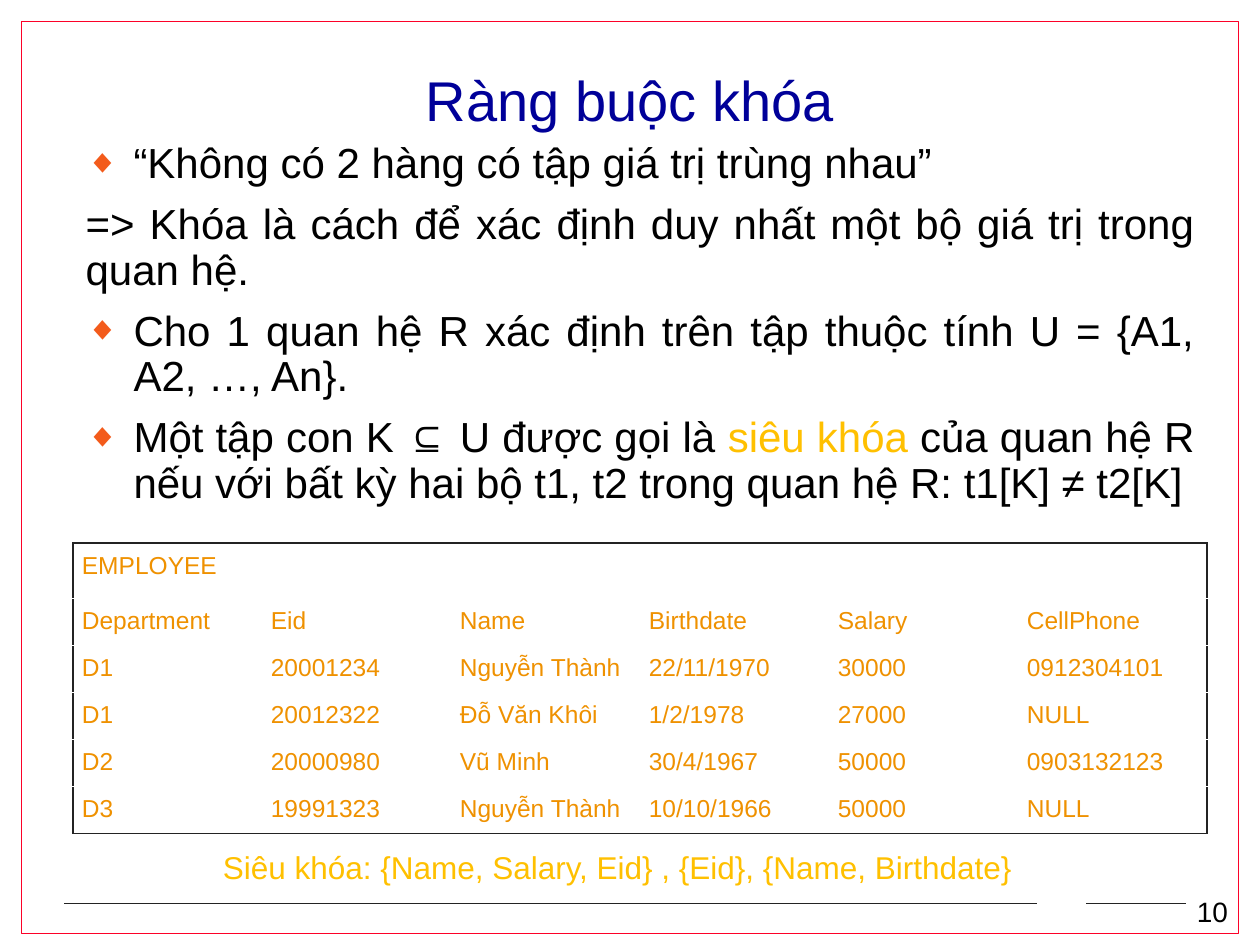
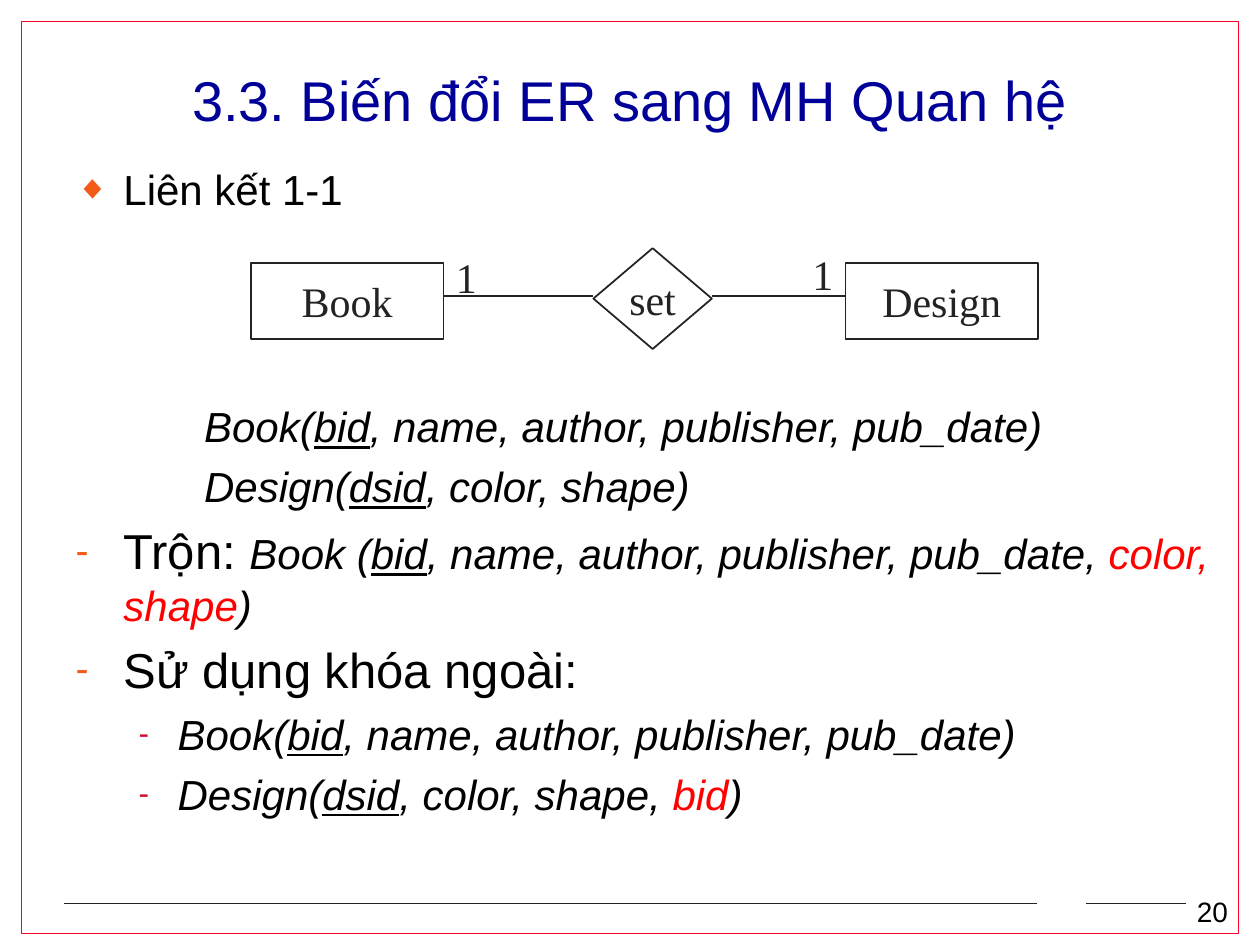
"""Build two slides on key constraints and on mapping a one-to-one link to relations."""
from lxml import etree
from pptx import Presentation
from pptx.dml.color import RGBColor
from pptx.enum.shapes import MSO_CONNECTOR, MSO_SHAPE
from pptx.enum.text import MSO_ANCHOR, MSO_AUTO_SIZE, PP_ALIGN
from pptx.oxml.ns import qn
from pptx.util import Inches, Pt

LEFT, MID, FULL = PP_ALIGN.LEFT, PP_ALIGN.CENTER, PP_ALIGN.JUSTIFY
RECT, GEM = MSO_SHAPE.RECTANGLE, MSO_SHAPE.DIAMOND
LINE = MSO_CONNECTOR.STRAIGHT
CENTER = MSO_ANCHOR.MIDDLE
FIXED = MSO_AUTO_SIZE.NONE

WHITE = RGBColor(0xFF, 0xFF, 0xFF)
BLACK = RGBColor(0, 0, 0)
DARK = RGBColor(0x23, 0x23, 0x23)
NAVY = RGBColor(0, 0, 0x99)
FRAME = RGBColor(0xFC, 0x01, 0x28)
RED = RGBColor(0xFF, 0, 0)
GOLD = RGBColor(0xFF, 0xC0, 0)
AMBER = RGBColor(0xEF, 0x91, 0)
ORANGE = RGBColor(0xF3, 0x5B, 0x1B)
CRIMSON = RGBColor(0xCF, 0x0E, 0x30)
SANS, SERIF = "Arial", "Times New Roman"


def write(frame, *runs, size=24, font=SANS, color=BLACK, italic=False, align=LEFT,
          before=0, space=1.0, left=0, hang=0, mark=None, tint=ORANGE, pct=80,
          level=0, wrap=True):
    """Add a paragraph; a run is a string or a (string, format) pair."""
    frame.word_wrap = wrap
    para = frame.paragraphs[0]
    if para.runs:
        para = frame.add_paragraph()
    para.alignment, para.level = align, level
    para.space_before, para.line_spacing = Pt(before), space
    props = para._p.get_or_add_pPr()
    props.set("marL", str(Inches(left)))
    props.set("indent", str(Inches(-hang)))
    if mark:
        shade = etree.SubElement(props, qn("a:buClr"))
        etree.SubElement(shade, qn("a:srgbClr"), val=str(tint))
        etree.SubElement(props, qn("a:buSzPct"), val=str(pct * 1000))
        etree.SubElement(props, qn("a:buFont"), typeface=SANS)
        etree.SubElement(props, qn("a:buChar"), char=mark)
    else:
        etree.SubElement(props, qn("a:buNone"))
    for item in runs:
        text, form = (item, {}) if isinstance(item, str) else item
        run = para.add_run()
        run.text = text
        run.font.name = font
        run.font.size = Pt(form.get("size", size))
        run.font.italic = form.get("italic", italic)
        run.font.underline = form.get("under", False)
        run.font.color.rgb = form.get("color", color)


def stroke(item, color=DARK, width=1):
    """Give a shape or connector a plain line and no shadow."""
    item.line.color.rgb = color
    item.line.width = Pt(width)
    etree.SubElement(item._element.spPr, qn("a:effectLst"))


deck = Presentation()
deck.slide_width, deck.slide_height = Inches(10), Inches(7.5)

pages = [
    ("Ràng buộc khóa", "10", (0.58, 1.08, 9, 5.25)),
    ("3.3. Biến đổi ER sang MH Quan hệ", "20", (0.5, 1.25, 9.5, 6.08)),
]
for name, num, area in pages:
    slide = deck.slides.add_slide(deck.slide_layouts[1])
    title, body = slide.placeholders
    for holder, spot in ((title, (0.75, 0.5, 8.5, 0.58)), (body, area)):
        holder.left, holder.top, holder.width, holder.height = map(Inches, spot)
        holder.text_frame.auto_size = FIXED
    title.text_frame.vertical_anchor = CENTER
    write(title.text_frame, name, size=32, color=NAVY, align=MID)

    edge = slide.shapes.add_shape(RECT, *map(Inches, (0.17, 0.17, 9.66, 7.24)))
    edge.fill.background()
    stroke(edge, FRAME)
    gap = slide.shapes.add_shape(RECT, *map(Inches, (8.2, 7.01, 0.44, 0.33)))
    gap.fill.solid()
    gap.fill.fore_color.rgb = WHITE
    stroke(gap, WHITE, 2.25)
    for start, end in ((0.51, 1.92), (1.85, 8.23), (8.62, 9.41)):
        stroke(slide.shapes.add_connector(
            LINE, Inches(start), Inches(7.17), Inches(end), Inches(7.17)))
    label = slide.shapes.add_textbox(*map(Inches, (9.4, 7.05, 0.46, 0.36)))
    write(label.text_frame, num, size=16, wrap=False)

keys, links = deck.slides

frame = keys.placeholders[1].text_frame
plain = dict(align=FULL, before=9, space=0.9)
point = dict(plain, left=0.38, hang=0.38, mark="◆")
write(frame, "“Không có 2 hàng có tập giá trị trùng nhau”", **point)
write(frame, "=> Khóa là cách để xác định duy nhất một bộ giá trị trong quan hệ.", **plain)
write(frame, "Cho 1 quan hệ R xác định trên tập thuộc tính U = {A1, A2, …, An}.", **point)
write(frame, "Một tập con K ⊆ U được gọi là ", ("siêu khóa ", {"color": GOLD}),
      "của quan hệ R nếu với bất kỳ hai bộ t1, t2 trong quan hệ R: t1[K] ≠ t2[K]", **point)

rows = [
    ("EMPLOYEE", "", "", "", "", ""),
    ("Department", "Eid", "Name", "Birthdate", "Salary", "CellPhone"),
    ("D1", "20001234", "Nguyễn Thành", "22/11/1970", "30000", "0912304101"),
    ("D1", "20012322", "Đỗ Văn Khôi", "1/2/1978", "27000", "NULL"),
    ("D2", "20000980", "Vũ Minh", "30/4/1967", "50000", "0903132123"),
    ("D3", "19991323", "Nguyễn Thành", "10/10/1966", "50000", "NULL"),
]
last = len(rows) - 1
table = keys.shapes.add_table(
    6, 6, Inches(0.58), Inches(4.31), Inches(9), Inches(2.29)).table
table.first_row = table.horz_banding = False
for r, row in enumerate(rows):
    table.rows[r].height = Inches(0.37 if r else 0.44)
    for c, text in enumerate(row):
        cell = table.cell(r, c)
        cell.margin_left = cell.margin_right = Inches(0.07)
        cell.margin_top = cell.margin_bottom = Inches(0.07)
        sides = {"L": c == 0, "R": c == 5 or r == 0, "T": r == 0, "B": r == last}
        for side, outer in sides.items():
            rule = etree.SubElement(
                cell._tc.get_or_add_tcPr(), qn("a:ln" + side), w=str(Pt(1)))
            paint = etree.SubElement(rule, qn("a:solidFill"))
            etree.SubElement(paint, qn("a:srgbClr"), val=str(DARK if outer else WHITE))
        cell.fill.solid()
        cell.fill.fore_color.rgb = WHITE
        if text:
            write(cell.text_frame, text, size=14, color=AMBER)
table.cell(0, 0).merge(table.cell(0, 5))

note = keys.shapes.add_textbox(*map(Inches, (1.67, 6.68, 7.42, 0.4)))
write(note.text_frame, "Siêu khóa: {Name, Salary, Eid} , {Eid}, {Name, Birthdate}",
      size=18, color=GOLD)

frame = links.placeholders[1].text_frame
bid, dsid = ("bid", {"under": True}), ("dsid", {"under": True})
attrs = ", name, author, publisher, pub_date"
base = dict(before=5.5, italic=True)
dash = dict(base, left=0.38, hang=0.38, mark="-")
sub = dict(base, left=0.81, hang=0.31, mark="-", tint=CRIMSON, pct=75, level=1)
big = {"size": 28, "italic": False}
write(frame, "Liên kết 1-1", before=5.5, left=0.38, hang=0.38, mark="◆")
write(frame, "Book(", bid, attrs + ")", **dict(base, left=1.02, before=106.7))
write(frame, "Design(", dsid, ", color, shape)", **base, left=1.02)
write(frame, ("Trộn: ", big), "Book (", bid, attrs + ",",
      (" color, shape", {"color": RED}), ")", **dash)
write(frame, ("Sử dụng khóa ngoài:", big), **dash)
write(frame, "Book(", bid, attrs + ")", **sub)
write(frame, "Design(", dsid, ", color, shape, ",
      ("bid", {"under": True, "color": RED, "under": False}), ")", **sub)

ink = dict(font=SERIF, color=DARK)
for kind, text, spot in (
    (RECT, "Book", (1.99, 2.09, 1.53, 0.6)),
    (RECT, "Design", (6.71, 2.09, 1.53, 0.6)),
    (GEM, "set", (4.71, 1.97, 0.94, 0.8)),
):
    node = links.shapes.add_shape(kind, *map(Inches, spot))
    node.fill.background()
    stroke(node)
    node.text_frame.vertical_anchor = CENTER
    write(node.text_frame, text, align=MID, wrap=False, **ink)
for start, end in ((3.52, 4.71), (5.65, 6.71)):
    stroke(links.shapes.add_connector(
        LINE, Inches(start), Inches(2.35), Inches(end), Inches(2.35)))
for x, y in ((3.52, 1.95), (6.35, 1.92)):
    count = links.shapes.add_textbox(Inches(x), Inches(y), Inches(0.26), Inches(0.4))
    write(count.text_frame, "1", **ink)

deck.save("out.pptx")
